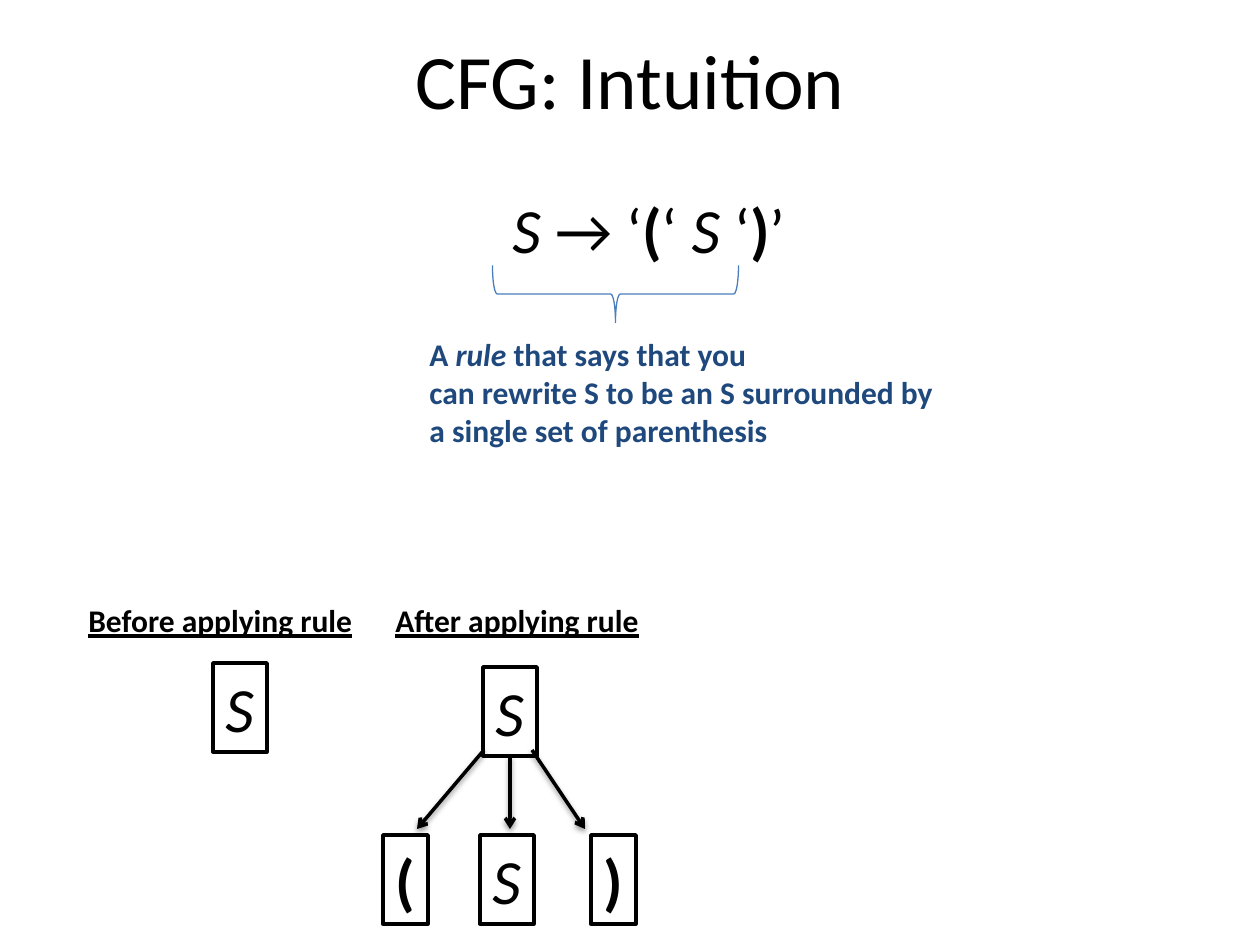
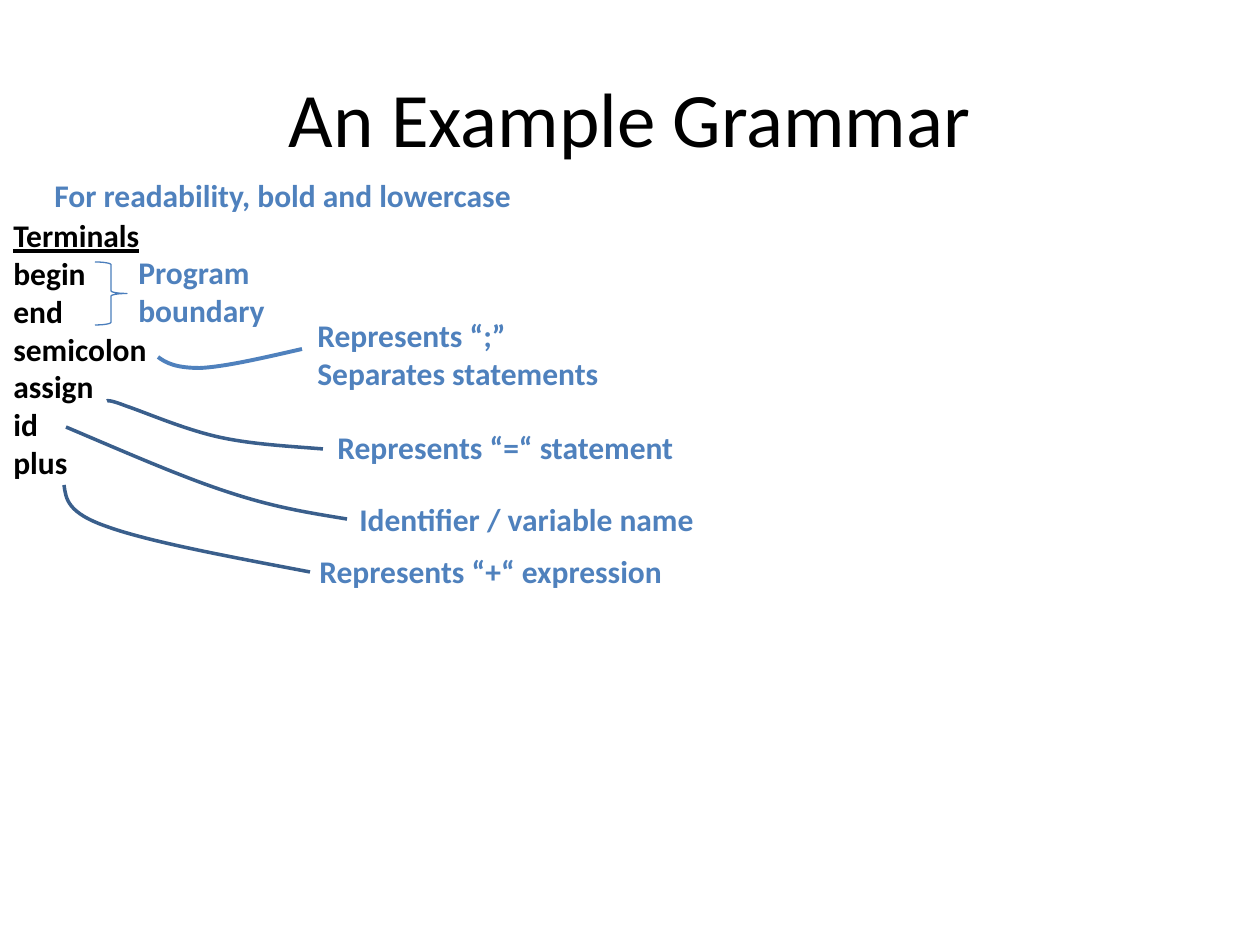
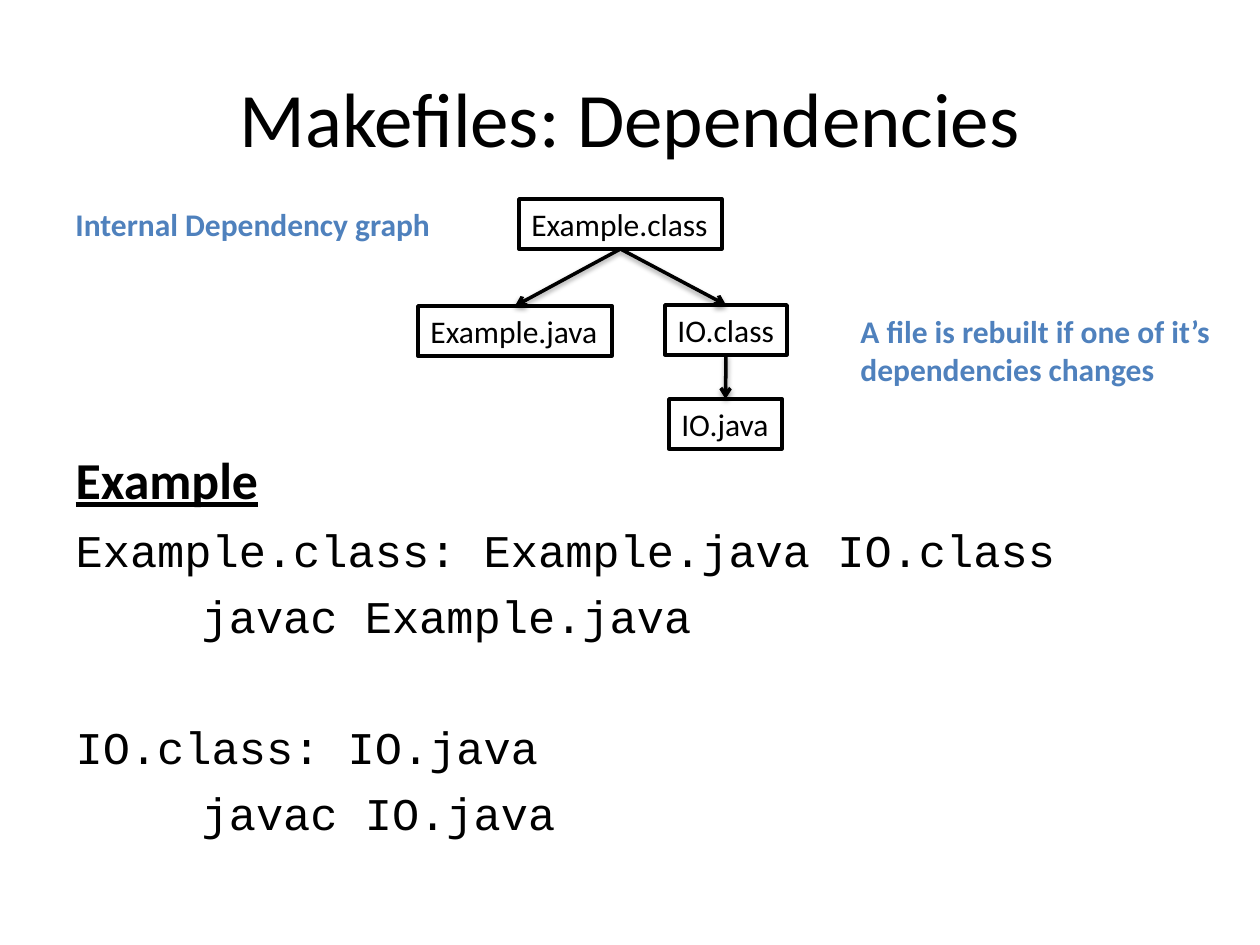
from typing import NamedTuple

import lxml.etree
import pptx
import pptx.dml.color
import pptx.enum.shapes
import pptx.enum.text
import pptx.oxml.ns
import pptx.util

SCALE = 914400 / 126
BLACK, WHITE = "000000", "FFFFFF"
NAVY, BLUE, BRACE, CURVE = "1F497D", "4F81BD", "4B7EBC", "3A5F8C"
SHAPES = pptx.enum.shapes.MSO_SHAPE
LEFT = pptx.enum.text.PP_ALIGN.LEFT
TOP = pptx.enum.text.MSO_ANCHOR.TOP


class Box(NamedTuple):
    left: int
    top: int
    width: int
    height: int


class Run(NamedTuple):
    text: str
    marks: str = ""


class Style(NamedTuple):
    size: float
    color: str = BLACK
    font: str = "Calibri"


class Label(NamedTuple):
    box: Box
    lines: list[list[Run]]
    style: Style


class Node(NamedTuple):
    box: Box
    run: Run
    style: Style


class Curve(NamedTuple):
    points: list[tuple[int, int]]
    color: str = CURVE
    width: float = 2


class Code(NamedTuple):
    run: Run
    style: Style
    gap: float
    indent: int = 0


HEAD = Style(44)
RULE = Style(36)
PLAIN = Style(18)
NOTE = Style(18, BLUE)
MONO = Style(25.9, font="Courier New")


def px(value: int) -> int:
    return round(value * SCALE)


def paint(color: str) -> pptx.dml.color.RGBColor:
    return pptx.dml.color.RGBColor.from_string(color)


def child(parent, tag: str, **attrs: str):
    return lxml.etree.SubElement(parent, pptx.oxml.ns.qn(tag), attrs)


def place(shape, box: Box) -> None:
    shape.left, shape.top, shape.width, shape.height = map(px, box)


def write(para, runs: list[Run], style: Style) -> None:
    for item in runs:
        run = para.add_run()
        run.text = item.text
        font = run.font
        font.name, font.size = style.font, pptx.util.Pt(style.size)
        font.color.rgb = paint(style.color)
        font.bold = "b" in item.marks
        font.italic = "i" in item.marks
        font.underline = "u" in item.marks


def fill_text(frame, lines: list[list[Run]], style: Style) -> None:
    frame.word_wrap = False
    frame.auto_size = pptx.enum.text.MSO_AUTO_SIZE.SHAPE_TO_FIT_TEXT
    frame.vertical_anchor = TOP
    for index, runs in enumerate(lines):
        para = frame.add_paragraph() if index else frame.paragraphs[0]
        para.alignment = LEFT
        write(para, runs, style)


def stroke(shape, color: str, width: float) -> None:
    shape.line.color.rgb = paint(color)
    shape.line.width = pptx.util.Pt(width)


def add_page(deck, layout: int, title: str, top: int = 38):
    page = deck.slides.add_slide(deck.slide_layouts[layout])
    place(page.shapes.title, Box(63, top, 1134, 158))
    write(page.shapes.title.text_frame.paragraphs[0], [Run(title)], HEAD)
    return page


def add_label(page, label: Label) -> None:
    shape = page.shapes.add_textbox(*map(px, label.box))
    fill_text(shape.text_frame, label.lines, label.style)


def add_form(page, kind, box: Box, color: str, width: float):
    shape = page.shapes.add_shape(kind, *map(px, box))
    shape.shadow.inherit = False
    stroke(shape, color, width)
    return shape


def add_node(page, node: Node):
    shape = add_form(page, SHAPES.RECTANGLE, node.box, BLACK, 2)
    shape.fill.solid()
    shape.fill.fore_color.rgb = paint(WHITE)
    fill_text(shape.text_frame, [[node.run]], node.style)
    return shape


def add_brace(page, kind, box: Box, turn: int = 0) -> None:
    shape = add_form(page, kind, box, BRACE, 0.75)
    shape.fill.background()
    shape.rotation = turn


def add_arrow(page, start: tuple[int, int], end: tuple[int, int]):
    straight = pptx.enum.shapes.MSO_CONNECTOR.STRAIGHT
    arrow = page.shapes.add_connector(straight, *map(px, start + end))
    stroke(arrow, BLACK, 2)
    frame = arrow._element.spPr
    child(frame.find(pptx.oxml.ns.qn("a:ln")), "a:tailEnd", type="arrow")
    shade = child(child(frame, "a:effectLst"), "a:outerShdw", blurRad="39370",
                  dist="20320", dir="5400000", rotWithShape="0")
    child(child(shade, "a:srgbClr", val=BLACK), "a:alpha", val="38000")
    return arrow


def add_curve(page, curve: Curve) -> None:
    pen = page.shapes.build_freeform(*curve.points[0], scale=SCALE)
    pen.add_line_segments(curve.points[1:], close=False)
    shape = pen.convert_to_shape()
    shape.shadow.inherit = False
    shape.fill.background()
    stroke(shape, curve.color, curve.width)
    route = next(shape._element.iter(pptx.oxml.ns.qn("a:path")))
    steps = route.findall(pptx.oxml.ns.qn("a:lnTo"))
    for index, step in enumerate(steps):
        if index % 3 == 0:
            bend = child(route, "a:cubicBezTo")
        bend.append(step[0])
        route.remove(step)


def draw_rule(deck) -> None:
    page = add_page(deck, 5, "CFG: Intuition", 0)
    rule = [Run("S", "i"), Run(" → ‘"), Run("(", "b"), Run("‘ "),
            Run("S", "i"), Run(" ‘"), Run(")", "b"), Run("’")]
    note = [[Run("A ", "b"), Run("rule", "bi"), Run(" that says that you", "b")],
            [Run("can rewrite S to be an S surrounded by", "b")],
            [Run("a single set of parenthesis", "b")]]
    for label in (
        Label(Box(500, 184, 304, 89), [rule], RULE),
        Label(Box(417, 329, 533, 127), note, Style(18, NAVY)),
        Label(Box(383, 595, 271, 50), [[Run("After applying rule", "bu")]], PLAIN),
        Label(Box(76, 595, 291, 50), [[Run("Before applying rule", "bu")]], PLAIN),
    ):
        add_label(page, label)
    add_brace(page, SHAPES.LEFT_BRACE, Box(587, 171, 57, 246), 270)
    add_node(page, Node(Box(213, 663, 54, 89), Run("S", "i"), RULE))
    root = add_node(page, Node(Box(483, 667, 54, 89), Run("S", "i"), RULE))
    for left, width, run in ((383, 45, Run("(", "b")), (480, 54, Run("S", "i")),
                             (591, 45, Run(")", "b"))):
        add_node(page, Node(Box(left, 835, width, 89), run, RULE))
    add_arrow(page, (484, 750), (417, 829))
    add_arrow(page, (532, 750), (585, 829))
    add_arrow(page, (510, 756), (510, 829)).begin_connect(root, 2)


def draw_grammar(deck) -> None:
    page = add_page(deck, 5, "An Example Grammar")
    words = ["begin", "end", "semicolon", "assign", "id", "plus"]
    terms = [[Run("Terminals", "bu")]] + [[Run(word, "b")] for word in words]
    add_label(page, Label(Box(1, 210, 159, 280), terms, PLAIN))
    add_brace(page, SHAPES.RIGHT_BRACE, Box(95, 262, 32, 63))
    for box, lines in (
        (Box(42, 170, 500, 50), ["For readability, bold and lowercase"]),
        (Box(126, 247, 152, 89), ["Program", "boundary"]),
        (Box(305, 310, 309, 89), ["Represents “;”", "Separates statements"]),
        (Box(325, 422, 364, 50), ["Represents “=“ statement"]),
        (Box(347, 494, 363, 50), ["Identifier / variable name"]),
        (Box(307, 546, 370, 50), ["Represents “+“ expression"]),
    ):
        add_label(page, Label(box, [[Run(line, "b")] for line in lines], NOTE))
    for curve in (
        Curve([(107, 401), (107, 401), (108, 399), (126, 406), (144, 412),
               (181, 428), (214, 436), (247, 444), (285, 446), (323, 449)]),
        Curve([(66, 427), (125, 452), (184, 478), (231, 493), (277, 508),
               (311, 513), (347, 519)]),
        Curve([(310, 572), (231, 557), (150, 542), (108, 527), (67, 513),
               (66, 499), (64, 485)]),
        Curve([(302, 349), (263, 358), (224, 367), (200, 368), (176, 368),
               (166, 363), (158, 357)], BLUE, 2.25),
    ):
        add_curve(page, curve)


def draw_make(deck) -> None:
    page = add_page(deck, 1, "Makefiles: Dependencies")
    body = page.placeholders[1]
    place(body, Box(63, 441, 1134, 403))
    frame = body.text_frame
    frame.auto_size = pptx.enum.text.MSO_AUTO_SIZE.NONE
    codes = [
        Code(Run("Example", "bu"), Style(29.6), 0),
        Code(Run("Example.class: Example.java IO.class"), MONO, 7),
        Code(Run("javac Example.java"), MONO, 7, 126),
        Code(Run("IO.class: IO.java"), MONO, 43.5),
        Code(Run("javac IO.java"), MONO, 7, 126),
    ]
    for index, code in enumerate(codes):
        para = frame.add_paragraph() if index else frame.paragraphs[0]
        para.space_before = pptx.util.Pt(code.gap)
        props = para._p.get_or_add_pPr()
        props.set("marL", str(px(code.indent)))
        props.set("indent", "0")
        child(props, "a:buNone")
        write(para, [code.run], code.style)
    files = {
        "Example.class": Box(519, 199, 203, 50),
        "Example.java": Box(418, 306, 194, 50),
        "IO.class": Box(665, 305, 122, 50),
        "IO.java": Box(669, 399, 113, 50),
    }
    nodes = {name: add_node(page, Node(box, Run(name), PLAIN))
             for name, box in files.items()}
    for start, end in (("Example.class", "Example.java"),
                       ("Example.class", "IO.class"), ("IO.class", "IO.java")):
        arrow = add_arrow(page, (0, 0), (0, 0))
        arrow.begin_connect(nodes[start], 2)
        arrow.end_connect(nodes[end], 0)
    for box, lines in (
        (Box(63, 199, 383, 50), ["Internal Dependency graph"]),
        (Box(848, 306, 386, 89),
         ["A file is rebuilt if one of it’s", "dependencies changes"]),
    ):
        add_label(page, Label(box, [[Run(line, "b")] for line in lines], NOTE))


def main() -> None:
    deck = pptx.Presentation()
    deck.slide_width, deck.slide_height = px(1260), px(945)
    draw_rule(deck)
    draw_grammar(deck)
    draw_make(deck)
    deck.save("out.pptx")


if __name__ == "__main__":
    main()
